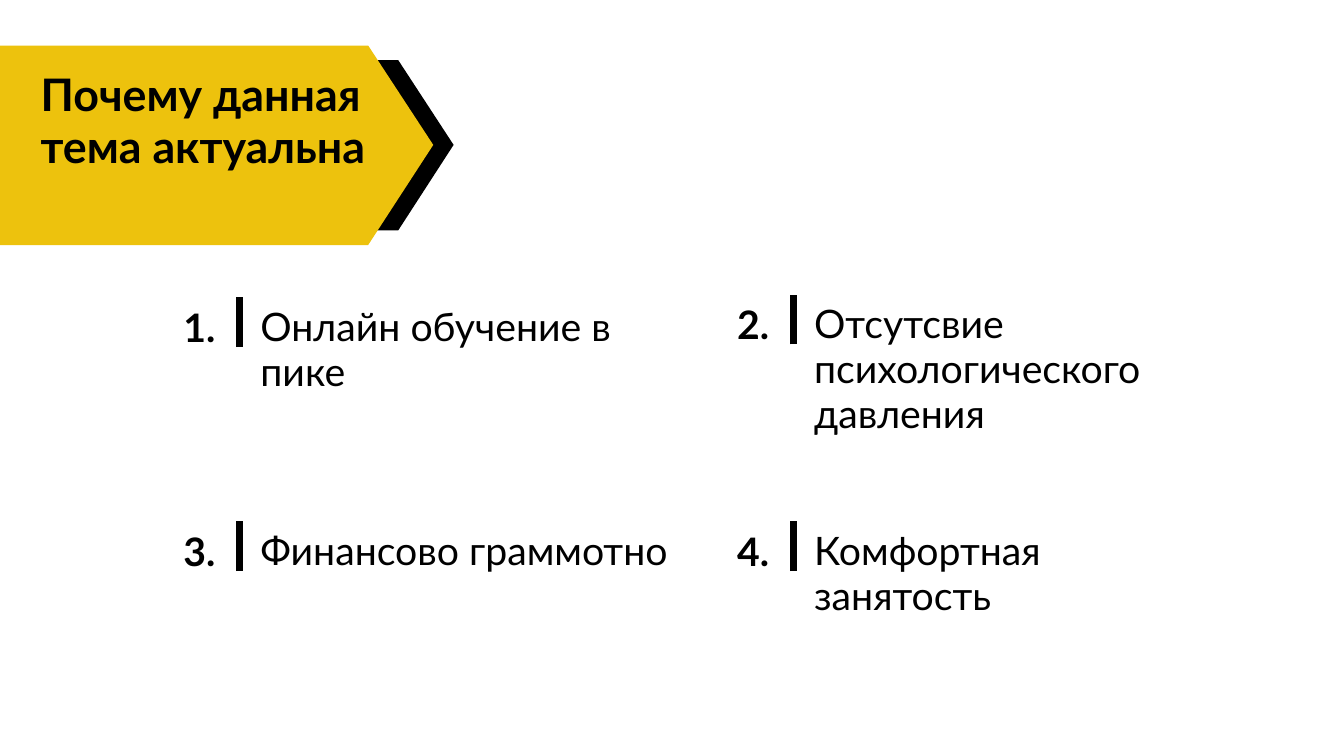
from dataclasses import dataclass

import lxml.etree
import pptx
import pptx.dml.color
import pptx.enum.shapes
import pptx.enum.text
import pptx.oxml.ns
import pptx.util

PX = 9525  # EMU per px: the slide is 1920 by 1080 px
BLACK = pptx.dml.color.RGBColor(0x00, 0x00, 0x00)
YELLOW = pptx.dml.color.RGBColor(0xED, 0xC2, 0x0D)
FONT = "Lato"
LINE_HEIGHT = 1.15

LEFT_COLUMN, RIGHT_COLUMN = 262, 1053
BAR_HEIGHT = 71


@dataclass
class Arrow:
    left: int
    shoulder: int
    tip: int
    top: int
    bottom: int
    color: pptx.dml.color.RGBColor


@dataclass
class Reason:
    number: str
    text: str
    left: int
    top: int
    width: int
    height: int


ARROWS = [
    Arrow(463, 569, 648, 86, 329, BLACK),
    Arrow(-80, 526, 619, 65, 350, YELLOW),
]

REASONS = [
    Reason("1.", "Онлайн обучение в пике", LEFT_COLUMN, 425, 588, 130),
    Reason("2.", "Отсутсвие психологического давления", RIGHT_COLUMN, 421, 564, 194),
    Reason("3.", "Финансово граммотно", LEFT_COLUMN, 745, 588, 130),
    Reason("4.", "Комфортная занятость", RIGHT_COLUMN, 745, 564, 130),
]


def write_text(shape, text: str, *, size: int = 42, bold: bool = False) -> None:
    frame = shape.text_frame
    frame.word_wrap = True
    frame.auto_size = pptx.enum.text.MSO_AUTO_SIZE.NONE
    frame.vertical_anchor = pptx.enum.text.MSO_ANCHOR.TOP
    frame.margin_left = frame.margin_right = 0
    frame.margin_top = frame.margin_bottom = 0
    paragraph = frame.paragraphs[0]
    paragraph.alignment = pptx.enum.text.PP_ALIGN.LEFT
    paragraph.line_spacing = pptx.util.Pt(size * LINE_HEIGHT)
    paragraph.space_before = pptx.util.Pt(0)
    run = paragraph.add_run()
    run.text = text
    run.font.name = FONT
    run.font.size = pptx.util.Pt(size)
    run.font.bold = bold
    run.font.color.rgb = BLACK


def draw_arrow(slide, arrow: Arrow) -> None:
    middle = (arrow.top + arrow.bottom) // 2
    builder = slide.shapes.build_freeform(arrow.left, arrow.top, scale=PX)
    builder.add_line_segments([
        (arrow.shoulder, arrow.top),
        (arrow.tip, middle),
        (arrow.shoulder, arrow.bottom),
        (arrow.left, arrow.bottom),
    ])
    shape = builder.convert_to_shape()
    shape.shadow.inherit = False
    shape.fill.solid()
    shape.fill.fore_color.rgb = arrow.color
    shape.line.fill.background()


def draw_bar(slide, x: int, top: int) -> None:
    bar = slide.shapes.add_connector(
        pptx.enum.shapes.MSO_CONNECTOR.STRAIGHT,
        x * PX, (top + BAR_HEIGHT) * PX, x * PX, top * PX)
    bar.line.color.rgb = BLACK
    bar.line.width = pptx.util.Pt(7.5)
    lxml.etree.SubElement(bar.element.spPr, pptx.oxml.ns.qn("a:effectLst"))


def add_text(slide, text: str, left: int, top: int, width: int, height: int,
             *, bold: bool = False) -> None:
    box = slide.shapes.add_textbox(left * PX, top * PX, width * PX, height * PX)
    write_text(box, text, bold=bold)


def draw_reason(slide, reason: Reason) -> None:
    add_text(slide, reason.number, reason.left, reason.top + 11, 75, 66, bold=True)
    draw_bar(slide, reason.left + 80, reason.top)
    add_text(slide, reason.text, reason.left + 110, reason.top + 9,
             reason.width, reason.height)


def main() -> None:
    presentation = pptx.Presentation()
    presentation.slide_width = 1920 * PX
    presentation.slide_height = 1080 * PX
    slide = presentation.slides.add_slide(presentation.slide_layouts[5])

    # Arrow banner
    for arrow in ARROWS:
        draw_arrow(slide, arrow)

    # Title, brought in front of the banner
    title = slide.shapes.title
    title.left, title.top = 58 * PX, 99 * PX
    title.width, title.height = 483 * PX, 220 * PX
    write_text(title, "Почему данная тема актуальна", size=48, bold=True)
    title.element.getparent().append(title.element)

    # Numbered reasons
    for reason in REASONS:
        draw_reason(slide, reason)

    presentation.save("out.pptx")


if __name__ == "__main__":
    main()
